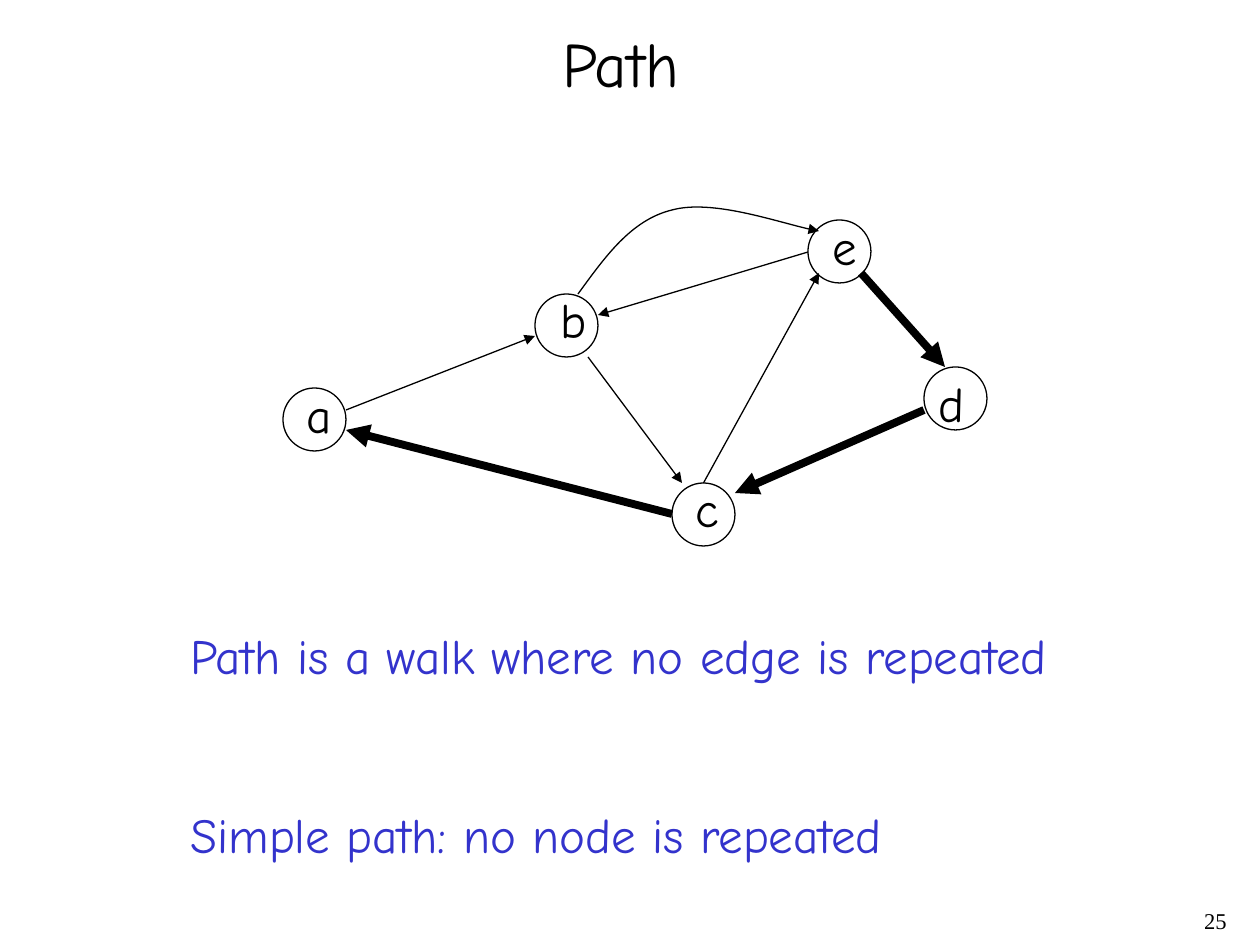
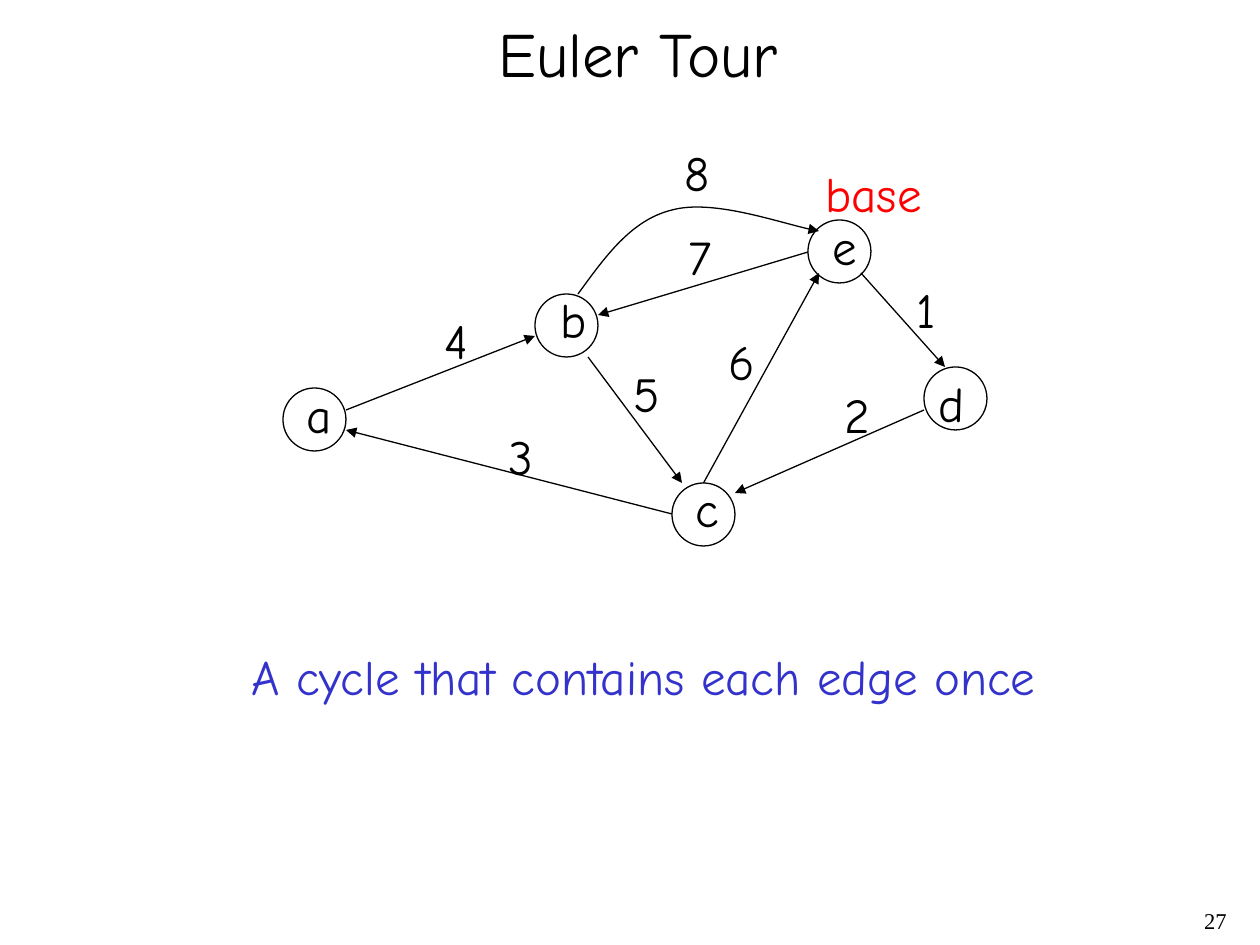
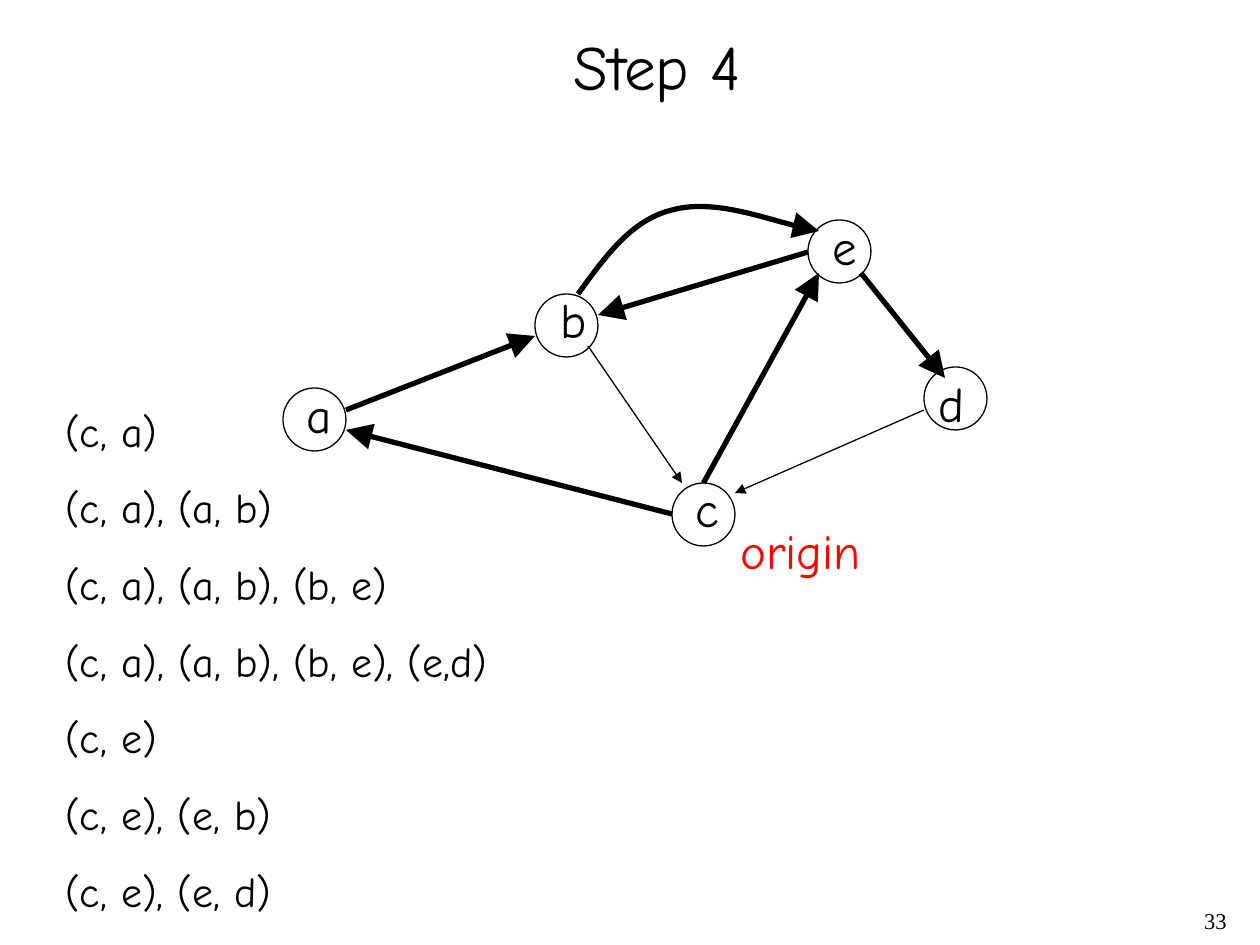
from lxml import etree
from pptx import Presentation, util as u
from pptx.dml.color import RGBColor
from pptx.enum import shapes, text
from pptx.oxml.ns import qn

PX_PER_INCH = 126
SLIDE_SIZE = (1260, 945)
BLACK = RGBColor(0x00, 0x00, 0x00)
BLUE = RGBColor(0x33, 0x33, 0xCC)
RED = RGBColor(0xFF, 0x00, 0x00)
BODY_FONT = "Comic Neue"
NUMBER_FONT = "Times New Roman"
TITLE_SIZE, BODY_SIZE, LIST_SIZE = 36, 28, 24
THIN = 0.75

NODE_SIZE = 63
LABEL_HEIGHT = 72
NODES = {"a": (283, 388), "b": (535, 294), "c": (672, 483),
         "d": (924, 367), "e": (808, 220)}
# Left, top and width of each node's letter
LETTERS = {"a": (294, 378, 50), "b": (548, 283, 52), "c": (683, 472, 48),
           "d": (926, 367, 50), "e": (820, 210, 49)}
EDGES = {
    "ab": ((346, 410), (535, 336)),
    "bc": ((588, 357), (682, 483)),
    "ce": ((703, 483), (819, 273)),
    "dc": ((924, 410), (735, 493)),
    "ca": ((672, 514), (346, 430)),
    "ed": ((861, 273), (945, 367)),
    "eb": ((808, 252), (598, 315)),
}
CURVED_EDGE = "be"
# Start point, then three Bézier points for each of two segments
CURVE = [(578, 294), (605, 257), (631, 220), (672, 210),
         (712, 199), (789, 226), (819, 231)]

TOUR_NUMBERS = {"1": (904, 273, 45), "2": (832, 378, 50), "3": (496, 420, 49),
                "4": (432, 304, 49), "5": (621, 357, 52), "6": (716, 325, 52),
                "7": (676, 220, 48), "8": (672, 136, 50)}
STEP_WALKS = [
    "(c, a)",
    "(c, a), (a, b)",
    "(c, a), (a, b), (b, e)",
    "(c, a), (a, b), (b, e), (e,d)",
    "(c, e)",
    "(c, e), (e, b)",
    "(c, e), (e, d)",
]


def px(length):
    return u.Emu(round(length * 914400 / PX_PER_INCH))


def add_text(slide, lines, left, top, width, height=LABEL_HEIGHT, *,
             size=BODY_SIZE, color=BLACK, font=BODY_FONT, gap=0,
             align=text.PP_ALIGN.LEFT, line_spacing=None, wrap=False):
    """Add a text box with one paragraph a line, gap points apart."""
    box = slide.shapes.add_textbox(px(left), px(top), px(width), px(height))
    frame = box.text_frame
    frame.word_wrap = wrap
    if not wrap:
        frame.auto_size = text.MSO_AUTO_SIZE.SHAPE_TO_FIT_TEXT
    frame.text = "\n".join(lines) if isinstance(lines, list) else lines
    for index, paragraph in enumerate(frame.paragraphs):
        paragraph.alignment = align
        paragraph.line_spacing = line_spacing
        if index:
            paragraph.space_before = u.Pt(gap)
        for run in paragraph.runs:
            run.font.name = font
            run.font.size = u.Pt(size)
            run.font.color.rgb = color


def add_node(slide, position):
    left, top = position
    node = slide.shapes.add_shape(shapes.MSO_SHAPE.OVAL, px(left), px(top),
                                  px(NODE_SIZE), px(NODE_SIZE))
    node.shadow.inherit = False
    node.fill.background()
    node.line.color.rgb = BLACK
    node.line.width = u.Pt(THIN)
    return node


def style_arrow(shape, weight, head):
    shape.line.color.rgb = BLACK
    shape.line.width = u.Pt(weight)
    line = shape.line._get_or_add_ln()
    etree.SubElement(line, qn("a:tailEnd"), type="triangle", w=head, len=head)


def add_arrow(slide, begin, end, weight, head, source):
    arrow = slide.shapes.add_connector(
        shapes.MSO_CONNECTOR.STRAIGHT, *map(px, begin + end))
    style_arrow(arrow, weight, head)
    etree.SubElement(arrow._element.spPr, qn("a:effectLst"))
    top_middle = (source.left + px(NODE_SIZE // 2), source.top)
    if (px(begin[0]), px(begin[1])) == top_middle:
        arrow.begin_connect(source, 0)


def add_curved_arrow(slide, points, weight, head):
    """Draw an open Bézier arrow by turning each three line steps into a curve."""
    builder = slide.shapes.build_freeform(*map(px, points[0]), scale=1.0)
    builder.add_line_segments([(px(x), px(y)) for x, y in points[1:]], close=False)
    curve = builder.convert_to_shape()
    steps = list(curve._element.iter(qn("a:lnTo")))
    for first in range(0, len(steps), 3):
        group = steps[first:first + 3]
        bezier = etree.Element(qn("a:cubicBezTo"))
        group[0].addprevious(bezier)
        for step in group:
            bezier.append(step[0])
            step.getparent().remove(step)
    curve.shadow.inherit = False
    curve.fill.background()
    style_arrow(curve, weight, head)


def add_graph(slide, heavy=(), heavy_weight=THIN, heavy_head="med",
              changed_edges=None):
    """Draw the five-node graph; heavy names the edges with the bold style."""
    def edge_style(edge):
        return (heavy_weight, heavy_head) if edge in heavy else (THIN, "med")

    nodes = {name: add_node(slide, position) for name, position in NODES.items()}
    for edge, (begin, end) in (EDGES | (changed_edges or {})).items():
        add_arrow(slide, begin, end, *edge_style(edge), nodes[edge[0]])
    add_curved_arrow(slide, CURVE, *edge_style(CURVED_EDGE))
    add_labels(slide, LETTERS)


def add_labels(slide, labels):
    for label, place in labels.items():
        add_text(slide, label, *place)


def add_slide(presentation, title, number, left, top, width):
    slide = presentation.slides.add_slide(presentation.slide_layouts[6])
    add_text(slide, str(number), 977, 904, 262, 42, size=12.9, font=NUMBER_FONT,
             align=text.PP_ALIGN.RIGHT, line_spacing=0.9, wrap=True)
    add_text(slide, title, left, top, width, 88, size=TITLE_SIZE)
    return slide


def add_path_slide(presentation):
    slide = add_slide(presentation, "Path", 25, 550, 18, 145)
    add_graph(slide, heavy=("ed", "dc", "ca"), heavy_weight=4.5)
    add_text(slide, ["Path is a walk where no edge is repeated",
                     "Simple path: no node is repeated"],
             178, 619, 888, 251, color=BLUE, gap=68.6)


def add_euler_tour_slide(presentation):
    slide = add_slide(presentation, "Euler Tour", 27, 486, 8, 310)
    add_graph(slide)
    add_labels(slide, TOUR_NUMBERS)
    add_text(slide, "base", 813, 157, 121, color=RED)
    add_text(slide, "A cycle that contains each edge once",
             239, 640, 812, color=BLUE)


def add_step_slide(presentation):
    slide = add_slide(presentation, "Step 4", 33, 561, 21, 194)
    add_graph(slide, heavy=("ab", "ce", "ca", "ed", "eb", "be"),
              heavy_weight=3, heavy_head="lg",
              changed_edges={"bc": ((588, 346), (682, 483)),
                             "ed": ((861, 273), (945, 378))})
    add_text(slide, "origin", 728, 514, 148, color=RED)
    add_text(slide, STEP_WALKS, 53, 399, 450, 523, size=LIST_SIZE, gap=15)


def main():
    presentation = Presentation()
    presentation.slide_width, presentation.slide_height = map(px, SLIDE_SIZE)
    add_path_slide(presentation)
    add_euler_tour_slide(presentation)
    add_step_slide(presentation)
    presentation.save("out.pptx")


if __name__ == "__main__":
    main()
